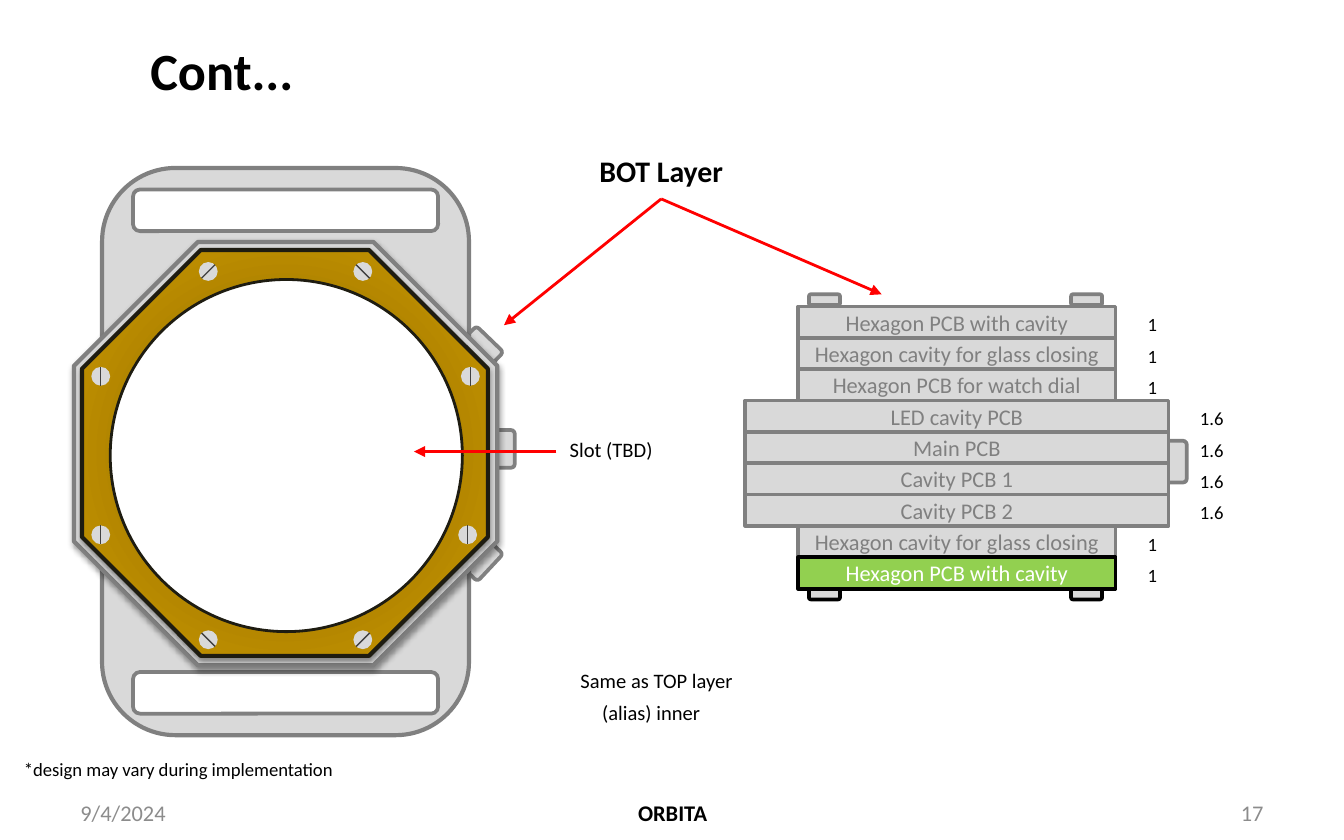
import pptx
import pptx.util
import pptx.oxml
import pptx.dml.color
import pptx.enum.shapes
import pptx.enum.text

Inches, Pt = pptx.util.Inches, pptx.util.Pt
Kind = pptx.enum.shapes.MSO_SHAPE
Align = pptx.enum.text.PP_ALIGN
Anchor = pptx.enum.text.MSO_ANCHOR
NS = 'xmlns:a="http://schemas.openxmlformats.org/drawingml/2006/main"'
PALE, GRAY, BLACK, WHITE, RED = "D9D9D9", "808080", "000000", "FFFFFF", "FF0000"
GREEN, DARK, MUTED, SLIT = "92D050", "1E1C11", "8C8C8C", "404040"
GOLD = [(0, "795B00"), (50, "AC8100"), (100, "CC9900")]

# Content: board layers from top to bottom (name, thickness)
layers = [
    ("Hexagon PCB with cavity", "1"),
    ("Hexagon cavity for glass closing", "1"),
    ("Hexagon PCB for watch dial", "1"),
    ("LED cavity PCB", "1.6"),
    ("Main PCB", "1.6"),
    ("Cavity PCB 1", "1.6"),
    ("Cavity PCB 2", "1.6"),
    ("Hexagon cavity for glass closing", "1"),
    ("Hexagon PCB with cavity", "1"),
]
# Text, box, size, bold, alignment, colour, anchor
notes = [
    ("Cont...", (1.02, 0.13, 8.48, 0.77), 28, True, "l", BLACK, "m"),
    ("9/4/2024", (0.5, 5.88, 2.33, 0.33), 12, False, "l", MUTED, "m"),
    ("ORBITA", (3.42, 5.88, 3.17, 0.33), 12, True, "c", BLACK, "m"),
    ("17", (7.17, 5.88, 2.33, 0.33), 12, False, "r", MUTED, "m"),
    ("BOT Layer", (3.98, 1.09, 1.88, 0.37), 16, True, "c", BLACK, "t"),
    ("Slot (TBD)", (4.14, 3.2, 0.95, 0.29), 11, False, "l", BLACK, "t"),
    ("Same as TOP layer", (4.22, 4.92, 1.48, 0.29), 11, False, "l", BLACK, "t"),
    ("(alias) inner", (4.22, 5.16, 1.25, 0.29), 11, False, "c", BLACK, "t"),
    ("*design may vary during implementation", (0.08, 5.59, 2.73, 0.27),
     10, False, "l", BLACK, "t"),
]
# Side buttons: left, top, height, turn
buttons = [(3.51, 2.44, 0.28, 314), (3.51, 4.03, 0.28, 43.2),
           (3.67, 3.2, 0.28, 0), (8.67, 3.28, 0.31, 0)]
# Screws: centre and half extent of the slit
screws = [
    (2.7, 2.02, 0.05, 0.05), (1.55, 2.02, 0.05, -0.05),
    (0.75, 2.8, 0, 0.07), (0.75, 3.98, 0, 0.07),
    (1.55, 4.76, 0.05, 0.05), (2.7, 4.76, 0.05, -0.05),
    (3.48, 3.98, 0, 0.07), (3.5, 2.8, 0, 0.07),
]

deck = pptx.Presentation()
deck.slide_width, deck.slide_height = Inches(10), Inches(6.25)
slide = deck.slides.add_slide(deck.slide_layouts[6])
shapes = slide.shapes


def rgb(code):
    return pptx.dml.color.RGBColor.from_string(code)


def write(frame, text, size, color, bold=False, align="c", anchor="m"):
    frame.word_wrap = True
    frame.vertical_anchor = {"m": Anchor.MIDDLE, "t": Anchor.TOP}[anchor]
    para = frame.paragraphs[0]
    para.text = text
    para.alignment = {"l": Align.LEFT, "c": Align.CENTER, "r": Align.RIGHT}[align]
    font = para.font
    font.name, font.size, font.bold = "Calibri", Pt(size), bold
    font.color.rgb = rgb(color)


def note(text, box, size, bold, align, color, anchor):
    item = shapes.add_textbox(*map(Inches, box))
    write(item.text_frame, text, size, color, bold, align, anchor)


def draw(kind, box, fill=PALE, line=GRAY, width=2):
    item = shapes.add_shape(kind, *map(Inches, box))
    item.shadow.inherit = False
    item.fill.solid()
    item.fill.fore_color.rgb = rgb(fill)
    if line:
        item.line.color.rgb = rgb(line)
        item.line.width = Pt(width)
    else:
        item.line.fill.background()
    return item


def link(start, end, color, width, arrow=False):
    ends = map(Inches, (*start, *end))
    item = shapes.add_connector(pptx.enum.shapes.MSO_CONNECTOR.STRAIGHT, *ends)
    item.line.color.rgb = rgb(color)
    item.line.width = Pt(width)
    if arrow:
        item.line._get_or_add_ln().append(
            pptx.oxml.parse_xml(f'<a:tailEnd {NS} type="triangle"/>'))
    item._element.spPr.append(pptx.oxml.parse_xml(f"<a:effectLst {NS}/>"))


def shade(item):
    item._element.spPr.effectLst.append(pptx.oxml.parse_xml(
        f'<a:outerShdw {NS} blurRad="{Pt(3.1)}" dist="{Pt(1.6)}" dir="5400000" '
        f'rotWithShape="0"><a:srgbClr val="{BLACK}"><a:alpha val="38000"/>'
        '</a:srgbClr></a:outerShdw>'))


def glow(item, stops):
    marks = "".join(f'<a:gs pos="{at * 1000}"><a:srgbClr val="{code}"/></a:gs>'
                    for at, code in stops)
    grad = pptx.oxml.parse_xml(
        f'<a:gradFill {NS} rotWithShape="1"><a:gsLst>{marks}</a:gsLst>'
        '<a:path path="circle"><a:fillToRect l="50000" t="50000" r="50000" '
        'b="50000"/></a:path></a:gradFill>')
    props = item._element.spPr
    props.replace(props.solidFill, grad)


# Buttons, case and strap slots
for left, top, high, turn in buttons:
    draw(Kind.ROUNDED_RECTANGLE, (left, top, 0.16, high)).rotation = turn
case = draw(Kind.ROUNDED_RECTANGLE, (0.76, 1.25, 2.73, 4.22), width=2.25)
case.adjustments[0] = 0.2
for top in (1.41, 5):
    draw(Kind.ROUNDED_RECTANGLE, (0.99, top, 2.27, 0.31), WHITE)

# Layer stack with its feet and thicknesses
first, last, mid = 2.28, 4.38, 7.12
step = (last - first) / len(layers)
for top, edge in ((2.19, GRAY), (last, BLACK)):
    for left in (6.02, 7.97):
        draw(Kind.ROUNDED_RECTANGLE, (left, top, 0.23, 0.08), line=edge)
for i, (name, thick) in enumerate(layers):
    top = first + i * step
    wide, tag = (3.15, 8.83) if thick == "1.6" else (2.36, 8.44)
    fill, edge, ink = (PALE, GRAY, GRAY)
    if i == len(layers) - 1:
        fill, edge, ink = (GREEN, BLACK, WHITE)
    bar = draw(Kind.RECTANGLE, (mid - wide / 2, top, wide, step), fill, edge)
    frame = bar.text_frame
    frame.margin_left = frame.margin_right = Inches(0.05)
    write(frame, name, 12, ink)
    note(thick, (tag, top, 0.63, 0.27), 10, False, "l", BLACK, "t")

# Arrows from the layer title
for end in ((6.56, 2.19), (3.75, 2.42)):
    link((4.92, 1.48), end, RED, 1.5, True)

# Dial: two octagons, glass and slot arrow
shade(draw(Kind.OCTAGON, (0.55, 1.8, 3.15, 3.15), width=2.25))
ring = draw(Kind.OCTAGON, (0.61, 1.86, 3.02, 3.02), line=DARK, width=2.25)
glow(ring, GOLD)
shade(ring)
draw(Kind.OVAL, (0.82, 2.08, 2.62, 2.62), WHITE, DARK, 1.5)
link((4.14, 3.36), (3.08, 3.36), RED, 1.5, True)

# Screws
for x, y, dx, dy in screws:
    draw(Kind.OVAL, (x - 0.07, y - 0.07, 0.14, 0.14), line=None)
    link((x - dx, y - dy), (x + dx, y + dy), SLIT, 0.75)

# Title, notes and footer
for item in notes:
    note(*item)

deck.save("out.pptx")
